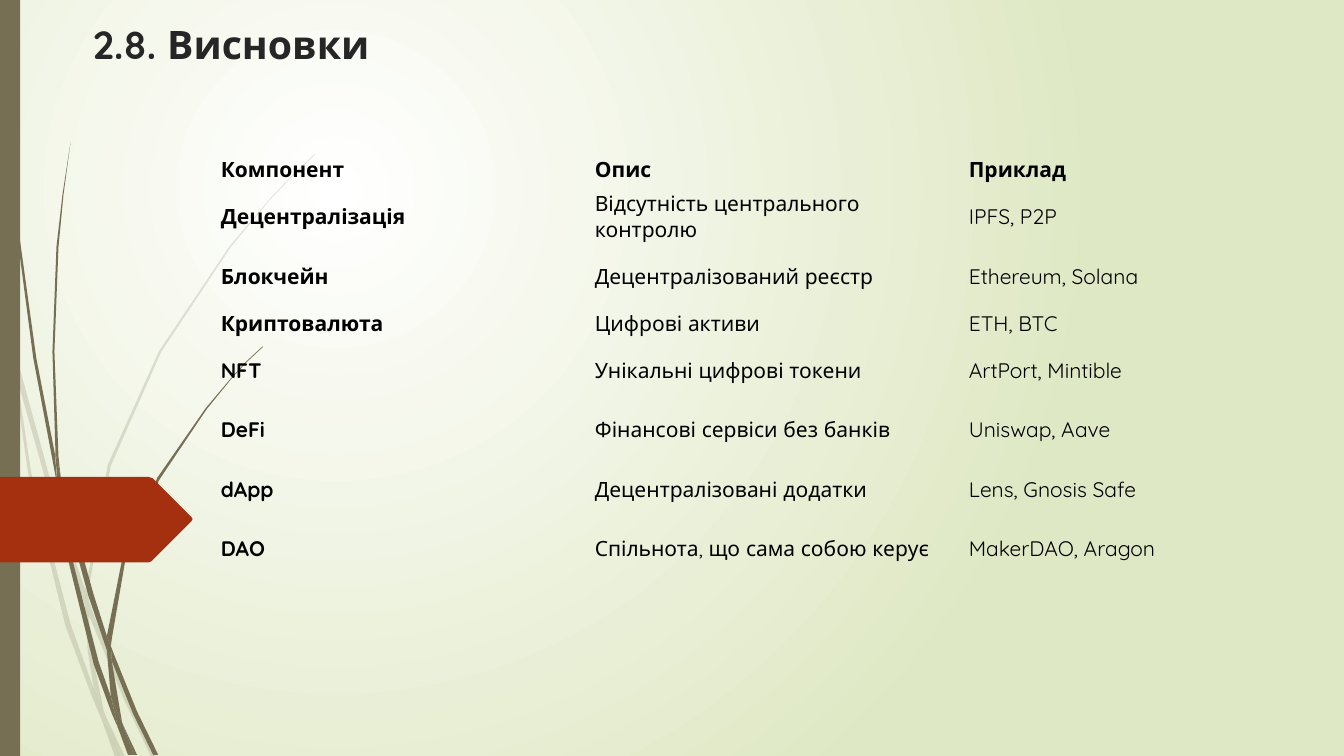
from pptx import Presentation
from pptx.dml.color import RGBColor
from pptx.enum.shapes import MSO_SHAPE
from pptx.enum.text import MSO_ANCHOR, MSO_AUTO_SIZE, PP_ALIGN
from pptx.oxml import parse_xml
from pptx.oxml.ns import nsdecls, qn
from pptx.util import Inches, Pt

WHITE = RGBColor(0xFF, 0xFF, 0xFF)
PALE_GREEN = RGBColor(0xDF, 0xE8, 0xC4)
OLIVE = RGBColor(0x76, 0x6F, 0x54)
RUST = RGBColor(0xA5, 0x30, 0x10)
CHARCOAL = RGBColor(0x26, 0x26, 0x26)
BLACK = RGBColor(0, 0, 0)
FONT = "Quicksand"
NO_GRID_STYLE = "{2D5ABB26-0587-4C30-8999-92F81FD0307C}"

FAINT_GRASS = [
    [(0.11, 3.5), (0.09, 3.22), (0, 2.82), (0, 2.99), (0.1, 3.44)],
    [(0.58, 5.22), (0.84, 5.99), (0.85, 5.86), (0.62, 5.2), (0.14, 3.45), (0.17, 3.76)],
    [(0.92, 6.07), (0.88, 5.96), (0.88, 6.1), (1.23, 6.94), (1.5, 7.51), (1.55, 7.51),
     (1.27, 6.92)],
    [(1.19, 7.51), (1.24, 7.51), (1.05, 7.11)],
    [(0.93, 6.83), (0.7, 6.19), (0.31, 4.69), (0.17, 3.76), (0.11, 3.5), (0.28, 4.7),
     (0.65, 6.21), (0.92, 6.93), (1.01, 7.14), (0.99, 7.07)],
    [(0.84, 5.99), (0.87, 6.46), (0.93, 6.83), (0.96, 6.92), (1.05, 7.11), (1.03, 7.06),
     (0.91, 6.46), (0.88, 6.1), (0.88, 6.08)],
    [(0.88, 5.84), (1.1, 4.62), (1.6, 3.49), (2.29, 2.45), (2.68, 1.98), (2.9, 1.75),
     (3.12, 1.54), (3.12, 1.53), (2.89, 1.75), (2.68, 1.97), (2.28, 2.44), (1.58, 3.48),
     (1.07, 4.61), (0.85, 5.84), (0.85, 5.86), (0.88, 5.96)],
    [(1.01, 7.14), (1.14, 7.51), (1.19, 7.51)],
    [(0.88, 6.08), (0.88, 6.1), (0.88, 5.96), (0.85, 5.86), (0.84, 5.99)],
    [(0.96, 6.92), (0.93, 6.83), (0.99, 7.07), (1.01, 7.14), (1.19, 7.51), (1.05, 7.11)],
]

DARK_GRASS = [
    [(0.07, 1.1), (0.17, 2.33), (0.33, 3.55), (0.56, 4.77), (0.57, 4.81), (0.55, 4.57),
     (0.55, 4.53), (0.36, 3.55), (0.19, 2.32), (0.08, 1.09), (0.05, 0.48), (0.04, 0),
     (0.03, 0), (0.04, 0.48)],
    [(0.88, 5.92), (1.06, 6.45), (1.06, 6.33), (1.06, 6.31), (0.93, 5.9), (0.6, 4.72),
     (0.64, 5.05)],
    [(1.13, 6.49), (1.1, 6.41), (1.11, 6.56), (1.32, 7.08), (1.52, 7.49), (1.57, 7.49),
     (1.36, 7.06)],
    [(1.1, 6.91), (0.98, 6.57), (0.72, 5.56), (0.64, 5.05), (0.57, 4.77), (0.68, 5.57),
     (0.93, 6.59), (1.11, 7.08), (1.17, 7.22), (1.16, 7.17)],
    [(0.6, 4.72), (0.58, 4.53), (0.54, 3.49), (0.58, 2.45), (0.63, 1.93), (0.7, 1.41),
     (0.62, 1.93), (0.56, 2.45), (0.52, 3.49), (0.55, 4.49)],
    [(1.33, 7.49), (1.36, 7.49), (1.22, 7.19)],
    [(0.57, 4.77), (0.64, 5.05), (0.6, 4.72), (0.55, 4.49), (0.55, 4.53)],
    [(1.11, 6.33), (1.25, 5.52), (1.58, 4.76), (2.05, 4.06), (2.31, 3.74), (2.45, 3.59),
     (2.61, 3.44), (2.6, 3.44), (2.45, 3.58), (2.31, 3.73), (2.04, 4.05), (1.56, 4.74),
     (1.22, 5.51), (1.06, 6.31), (1.1, 6.41)],
    [(1.17, 7.22), (1.27, 7.49), (1.31, 7.49)],
    [(1.06, 6.45), (1.1, 6.91), (1.16, 7.06), (1.22, 7.19), (1.21, 7.16), (1.11, 6.56),
     (1.09, 6.51)],
    [(1.06, 6.45), (1.09, 6.51), (1.11, 6.56), (1.1, 6.41), (1.06, 6.31), (1.06, 6.33)],
    [(1.16, 7.06), (1.1, 6.91), (1.16, 7.17), (1.17, 7.22), (1.3, 7.49), (1.33, 7.49),
     (1.22, 7.19)],
]

ARROW = [(0, 0), (1.47, 0), (1.5, 0.01), (1.51, 0.01), (1.9, 0.4), (1.91, 0.42),
         (1.9, 0.44), (1.51, 0.83), (1.5, 0.84), (1.47, 0.85), (0, 0.85)]

ROWS = [
    ("Компонент", "Опис", "Приклад"),
    ("Децентралізація", "Відсутність центрального контролю", "IPFS, P2P"),
    ("Блокчейн", "Децентралізований реєстр", "Ethereum, Solana"),
    ("Криптовалюта", "Цифрові активи", "ETH, BTC"),
    ("NFT", "Унікальні цифрові токени", "ArtPort, Mintible"),
    ("DeFi", "Фінансові сервіси без банків", "Uniswap, Aave"),
    ("dApp", "Децентралізовані додатки", "Lens, Gnosis Safe"),
    ("DAO", "Спільнота, що сама собою керує", "MakerDAO, Aragon"),
]
SHORT_ROWS = (0, 3)


def paint(shape, color):
    shape.fill.solid()
    shape.fill.fore_color.rgb = color
    shape.line.fill.background()
    shape.shadow.inherit = False


def add_outline(shapes, left, top, points, color):
    corners = [(Inches(left + x), Inches(top + y)) for x, y in points]
    builder = shapes.build_freeform(*corners[0], scale=1.0)
    builder.add_line_segments(corners[1:], close=True)
    outline = builder.convert_to_shape()
    paint(outline, color)
    return outline


def add_grass(page, left, top, blades, opacity):
    grass = page.shapes.add_group_shape()
    for points in blades:
        blade = add_outline(grass.shapes, left, top, points, OLIVE)
        if opacity < 100:
            color = blade.element.spPr.find(f".//{qn('a:srgbClr')}")
            color.append(parse_xml(f'<a:alpha {nsdecls("a")} val="{opacity * 1000}"/>'))


def add_background(page):
    fill = page.background.fill
    fill.gradient()
    for stop, color, position in zip(fill.gradient_stops, (WHITE, PALE_GREEN), (0, 1)):
        stop.color.rgb = color
        stop.position = position
    gradient = page.element.find(f".//{qn('a:gradFill')}")
    circle = parse_xml(
        f'<a:path {nsdecls("a")} path="circle">'
        '<a:fillToRect l="50000" t="50000" r="100000" b="100000"/></a:path>'
    )
    gradient.replace(gradient.find(qn("a:lin")), circle)


def add_left_edge(page, left, top, height):
    add_grass(page, left, top, FAINT_GRASS, 20)
    add_grass(page, left, top, DARK_GRASS, 100)
    bar = page.shapes.add_shape(
        MSO_SHAPE.RECTANGLE, Inches(left), Inches(top), Inches(0.2), Inches(height)
    )
    paint(bar, OLIVE)
    add_outline(page.shapes, left, top + 4.73, ARROW, RUST)


def add_span(para, text, size, color, bold):
    span = para.add_run()
    span.text = text
    span.font.name = FONT
    span.font.size = Pt(size)
    span.font.color.rgb = color
    span.font.bold = bold


def add_title(page, left, top, width, height):
    title = page.shapes.title
    title.left, title.top = Inches(left), Inches(top)
    title.width, title.height = Inches(width), Inches(height)
    box = title.text_frame
    box.word_wrap = True
    box.auto_size = MSO_AUTO_SIZE.NONE
    box.vertical_anchor = MSO_ANCHOR.BOTTOM
    para = box.paragraphs[0]
    para.alignment = PP_ALIGN.LEFT
    add_span(para, "2.8. Висновки", 28, CHARCOAL, True)


def add_summary_table(page, left, top, width, height):
    frame = page.shapes.add_table(
        len(ROWS), len(ROWS[0]), Inches(left), Inches(top), Inches(width), Inches(height)
    )
    table = frame.table
    table.first_row = False
    table.horz_banding = False
    frame.element.find(f".//{qn('a:tableStyleId')}").text = NO_GRID_STYLE
    for row_index, texts in enumerate(ROWS):
        table.rows[row_index].height = Inches(0.34 if row_index in SHORT_ROWS else 0.59)
        for column_index, text in enumerate(texts):
            cell = table.cell(row_index, column_index)
            cell.fill.background()
            cell.vertical_anchor = MSO_ANCHOR.MIDDLE
            cell.margin_left = cell.margin_right = Inches(0.09)
            cell.margin_top = cell.margin_bottom = Inches(0.04)
            bold = row_index == 0 or column_index == 0
            add_span(cell.text_frame.paragraphs[0], text, 15, BLACK, bold)


def main():
    deck = Presentation()
    deck.slide_width, deck.slide_height = Inches(13.33), Inches(7.5)
    page = deck.slides.add_slide(deck.slide_layouts[5])
    add_background(page)
    add_left_edge(page, 0, 0, 7.5)
    add_title(page, 0.82, 0.06, 12.07, 0.66)
    add_summary_table(page, 2.1, 1.51, 11.13, 4.25)
    deck.save("out.pptx")


if __name__ == "__main__":
    main()
